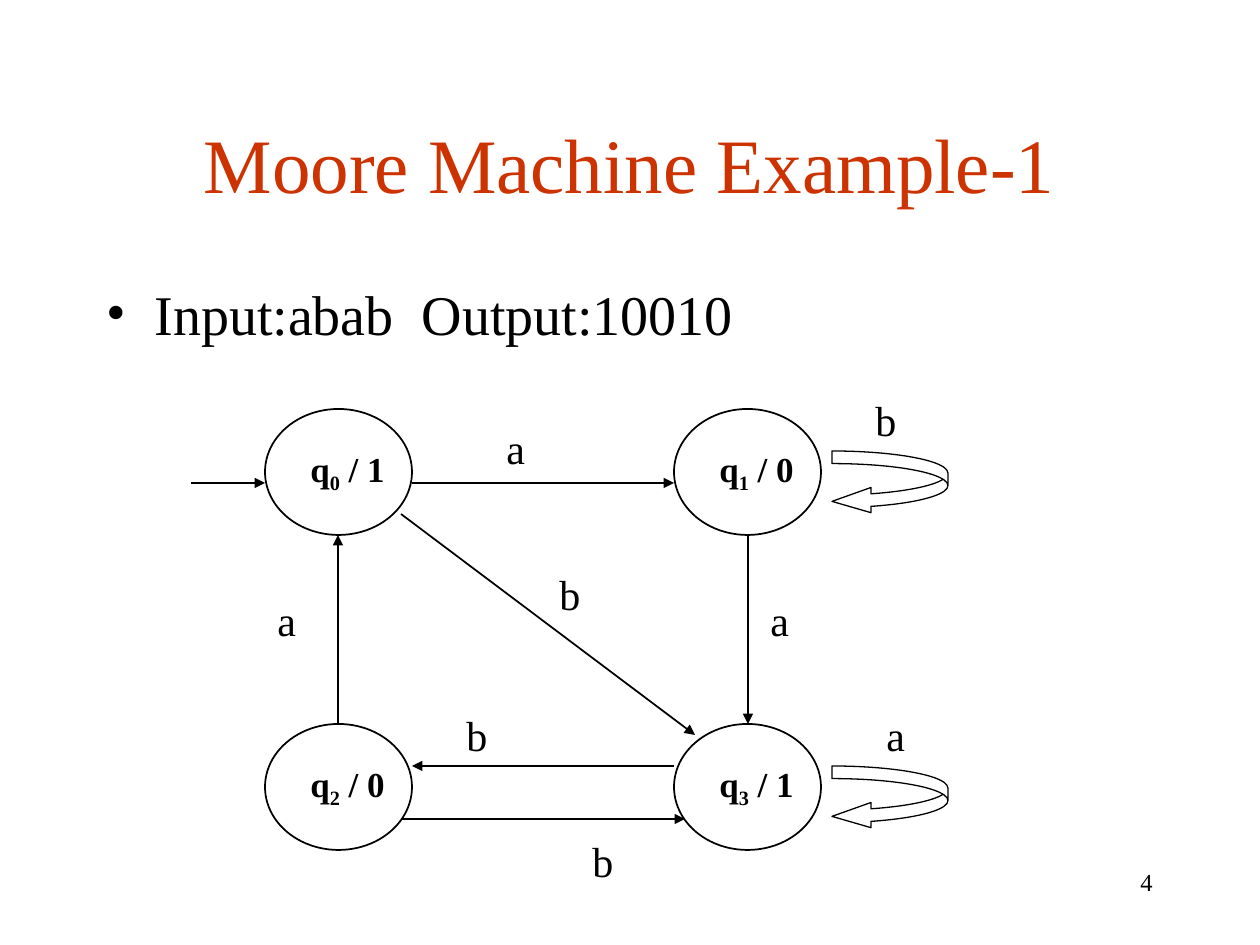
from lxml.etree import SubElement
from pptx import Presentation
from pptx.dml.color import RGBColor
from pptx.enum.shapes import MSO_CONNECTOR as LINK, MSO_SHAPE as SHAPE
from pptx.enum.text import MSO_ANCHOR as ANCHOR, MSO_AUTO_SIZE as FIT, PP_ALIGN as ALIGN
from pptx.oxml.ns import qn
from pptx.util import Emu, Pt

BLACK = RGBColor(0, 0, 0)
RED = RGBColor(0xCC, 0x33, 0)
FACE = "Times New Roman"
SCALE = 914400 / 126

TITLE = "Moore Machine Example-1"
BODY = "Input:abab  Output:10010"
PAGE = "4"

# Left, top, index, output
STATES = [
    (265, 409, "0", "1"),
    (674, 409, "1", "0"),
    (265, 724, "2", "0"),
    (674, 724, "3", "1"),
]
STATE_W, STATE_H = 147, 126

# Start x, y, end x, y
ARROWS = [
    (191, 483, 265, 483),
    (412, 483, 674, 483),
    (748, 535, 748, 724),
    (338, 724, 338, 535),
    (674, 766, 412, 766),
    (401, 819, 685, 819),
    (401, 514, 695, 735),
]
LOOPS = [(832, 451), (832, 766)]
LOOP_W, LOOP_H = 116, 63
LOOP_ADJUST = (0.2, 0.4, 0.62)

# Left, top, input letter
LABELS = [
    (494, 416, "a"),
    (758, 588, "a"),
    (265, 588, "a"),
    (874, 703, "a"),
    (454, 703, "b"),
    (580, 829, "b"),
    (547, 562, "b"),
    (863, 388, "b"),
]


def px(*vals):
    return [Emu(round(v * SCALE)) for v in vals]


def add_run(para, text, size, color=BLACK, bold=False):
    run = para.add_run()
    run.text = text
    look = {"name": FACE, "size": Pt(size), "bold": bold}
    for key, val in look.items():
        setattr(run.font, key, val)
    run.font.color.rgb = color
    return run


def add_box(slide, place, wrap=True, anchor=ANCHOR.TOP, align=ALIGN.LEFT):
    """Add an empty text box and return its first paragraph."""
    frame = slide.shapes.add_textbox(*px(*place)).text_frame
    fit = FIT.NONE if wrap else FIT.SHAPE_TO_FIT_TEXT
    look = {"word_wrap": wrap, "auto_size": fit, "vertical_anchor": anchor}
    for key, val in look.items():
        setattr(frame, key, val)
    para = frame.paragraphs[0]
    para.alignment = align
    return para


def add_outline(slide, kind, place, width):
    shape = slide.shapes.add_shape(kind, *px(*place))
    shape.shadow.inherit = False
    shape.fill.background()
    shape.line.color.rgb = BLACK
    shape.line.width = Pt(width)
    return shape


def add_bullet(para):
    props = para._p.get_or_add_pPr()
    hang = px(48)[0]
    props.set("marL", str(hang))
    props.set("indent", str(-hang))
    SubElement(props, qn("a:buFont"), typeface=FACE)
    SubElement(props, qn("a:buChar"), char="•")


def add_state(slide, left, top, index, output):
    add_outline(slide, SHAPE.OVAL, (left, top, STATE_W, STATE_H), 1)
    para = add_box(slide, (left + 33, top + 32, 100, 60), wrap=False)
    add_run(para, "q", 20, bold=True)
    sub = add_run(para, index, 20, bold=True)
    sub._r.get_or_add_rPr().set("baseline", "-25000")
    add_run(para, f" / {output}", 20, bold=True)


def add_arrow(slide, ends):
    link = slide.shapes.add_connector(LINK.STRAIGHT, *px(*ends))
    link.line.color.rgb = BLACK
    link.line.width = Pt(1)
    SubElement(link.line._get_or_add_ln(), qn("a:tailEnd"), type="triangle")
    SubElement(link._element.spPr, qn("a:effectLst"))


def add_loop(slide, left, top):
    place = (left, top, LOOP_W, LOOP_H)
    loop = add_outline(slide, SHAPE.CURVED_LEFT_ARROW, place, 0.75)
    for i, val in enumerate(LOOP_ADJUST):
        loop.adjustments[i] = val


def main():
    deck = Presentation()
    deck.slide_width, deck.slide_height = px(1260, 945)
    slide = deck.slides.add_slide(deck.slide_layouts[6])

    title = add_box(slide, (94, 84, 1071, 158), anchor=ANCHOR.MIDDLE, align=ALIGN.CENTER)
    add_run(title, TITLE, 44, RED)
    body = add_box(slide, (94, 273, 1071, 90))
    add_bullet(body)
    add_run(body, BODY, 32)

    for state in STATES:
        add_state(slide, *state)
    for ends in ARROWS:
        add_arrow(slide, ends)
    for spot in LOOPS:
        add_loop(slide, *spot)
    for left, top, letter in LABELS:
        add_run(add_box(slide, (left, top, 45, 63), wrap=False), letter, 24)

    page = add_box(slide, (903, 861, 262, 63), align=ALIGN.RIGHT)
    add_run(page, PAGE, 14)
    deck.save("out.pptx")


if __name__ == "__main__":
    main()
